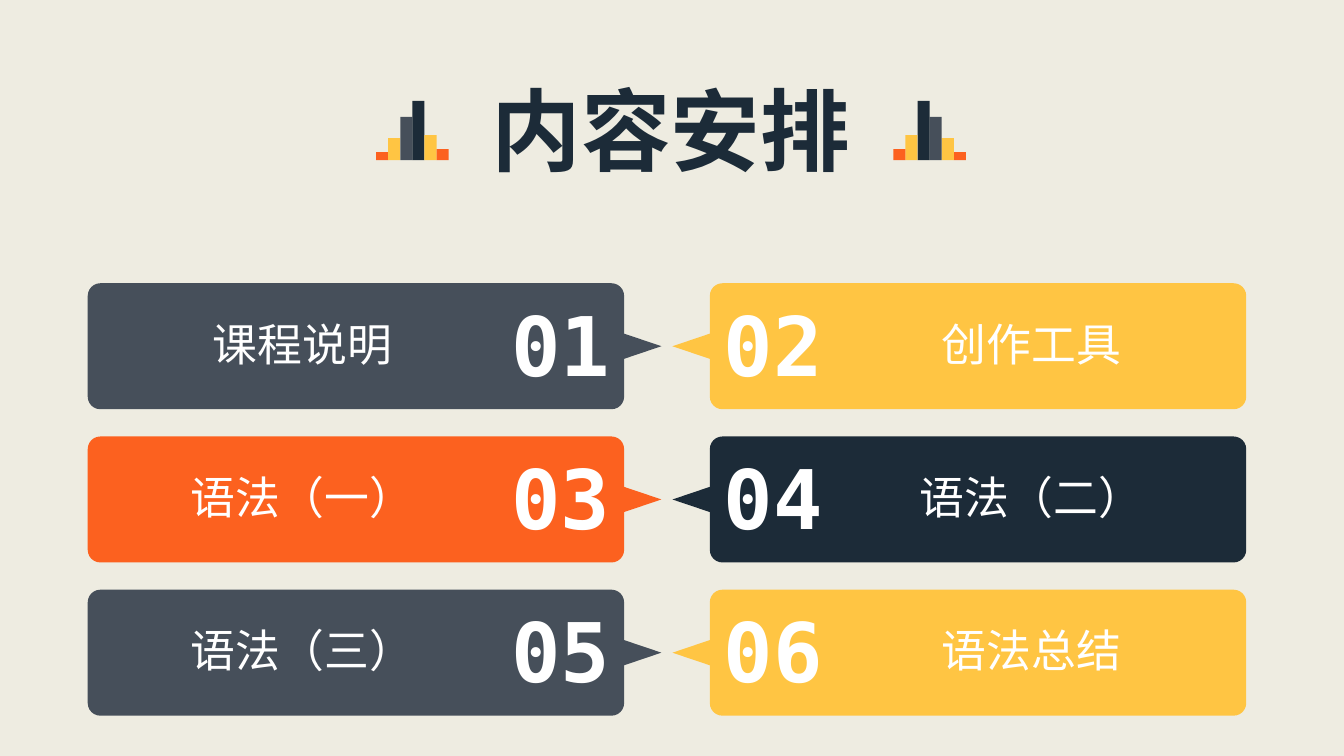
from pptx import Presentation
from pptx.dml.color import RGBColor
from pptx.enum.shapes import MSO_SHAPE
from pptx.enum.text import PP_ALIGN
from pptx.util import Inches, Pt

COLORS = {
    "paper": "EEECE1",
    "slate": "464F5A",
    "yellow": "FFC543",
    "orange": "FC611F",
    "navy": "1C2B38",
    "white": "FFFFFF",
}

# Grid of ten columns and ten rows to the inch
COLUMNS, ROWS = 133.3, 75
CARD_WIDTH, CARD_HEIGHT = 53.2, 12.5
CARD_LEFTS = (8.7, 70.4)
FIRST_CARD_TOP, CARD_PITCH = 28.1, 15.2

BODY_FONT = "Calibri"
NUMBER_FONT = "DejaVu Sans Mono"

LESSONS = [
    ("课程说明", "slate", BODY_FONT),
    ("创作工具", "yellow", "Noto Sans CJK SC"),
    ("语法（一）", "orange", BODY_FONT),
    ("语法（二）", "navy", BODY_FONT),
    ("语法（三）", "slate", BODY_FONT),
    ("语法总结", "yellow", BODY_FONT),
]
SKYLINE = [
    (0.8, "orange"),
    (2.2, "yellow"),
    (4.3, "slate"),
    (5.9, "navy"),
    (2.5, "yellow"),
    (1.1, "orange"),
]


def grid(cells):
    return Inches(cells / 10)


def color(name):
    return RGBColor.from_string(COLORS[name])


def add_block(shapes, kind, left, top, width, height, fill):
    block = shapes.add_shape(kind, grid(left), grid(top), grid(width), grid(height))
    block.shadow.inherit = False
    block.fill.solid()
    block.fill.fore_color.rgb = color(fill)
    block.line.fill.background()
    return block


def add_words(slide, words, center, top, width, height, size, font, ink, bold=False, wrap=True):
    box = slide.shapes.add_textbox(grid(center - width / 2), grid(top), grid(width), grid(height))
    box.text_frame.word_wrap = wrap
    paragraph = box.text_frame.paragraphs[0]
    paragraph.alignment = PP_ALIGN.CENTER
    run = paragraph.add_run()
    run.text = words
    run.font.size = Pt(size)
    run.font.name = font
    run.font.bold = bold
    run.font.color.rgb = color(ink)


def add_skyline(slide, left, top, width, height, mirrored):
    bars = slide.shapes.add_group_shape().shapes
    bar_width = width / len(SKYLINE)
    for index, (bar_height, fill) in enumerate(SKYLINE):
        column = len(SKYLINE) - 1 - index if mirrored else index
        add_block(bars, MSO_SHAPE.RECTANGLE, left + column * bar_width,
                  top + height - bar_height, bar_width, bar_height, fill)


def add_heading(slide, left, top, width, height):
    add_words(slide, "内容安排", left + width / 2, top, 42.1, height, 64, BODY_FONT, "navy", bold=True)
    # Bar motifs on both sides of the title
    motif_width = 7.2
    for motif_left, mirrored in ((left, False), (left + width - motif_width, True)):
        add_skyline(slide, motif_left, top + 3.1, motif_width, 5.9, mirrored)


def add_card(slide, left, top, width, height, number, lesson, on_right):
    title, fill, font = lesson

    def across(distance):
        """Column at a distance from the outer edge of the card."""
        return left + width - distance if on_right else left + distance

    # Panel with a pointer towards the middle of the slide
    card = slide.shapes.add_group_shape().shapes
    panel = add_block(card, MSO_SHAPE.ROUNDED_RECTANGLE, left, top, width, height, fill)
    panel.adjustments[0] = 0.1
    base, length = 2.5, 3.7
    pointer = add_block(card, MSO_SHAPE.ISOSCELES_TRIANGLE,
                        across(width + length / 2) - base / 2,
                        top + height / 2 - length / 2, base, length, fill)
    pointer.rotation = 270 if on_right else 90

    # Number and lesson title
    add_words(slide, f"{number:02}", across(46.9), top + 0.6, 12.5, 10.9, 58.7,
              NUMBER_FONT, "white", bold=True)
    add_words(slide, title, across(21.3), top + 2.8, 24.5, 6.4, 32, font, "white", wrap=False)


def add_agenda_slide(deck):
    slide = deck.slides.add_slide(deck.slide_layouts[6])
    slide.background.fill.solid()
    slide.background.fill.fore_color.rgb = color("paper")
    add_heading(slide, 37.3, 6.9, 58.5, 11.8)
    for index, lesson in enumerate(LESSONS):
        row, column = divmod(index, 2)
        add_card(slide, CARD_LEFTS[column], FIRST_CARD_TOP + row * CARD_PITCH,
                 CARD_WIDTH, CARD_HEIGHT, index + 1, lesson, on_right=column == 1)


def main():
    deck = Presentation()
    deck.slide_width, deck.slide_height = grid(COLUMNS), grid(ROWS)
    add_agenda_slide(deck)
    deck.save("out.pptx")


if __name__ == "__main__":
    main()
